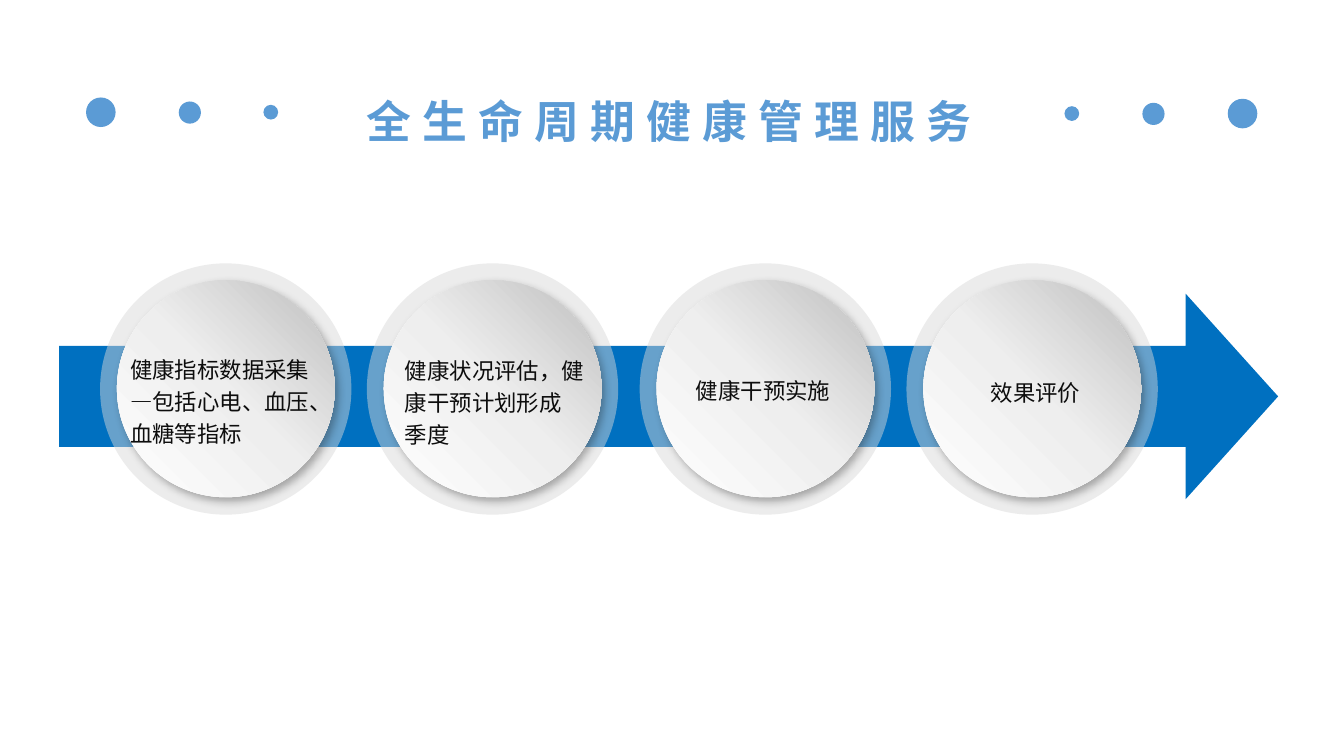
"""Builds a slide showing the four stages of whole-life health management."""
import pptx
import pptx.dml.color
import pptx.enum.shapes
import pptx.enum.text
import pptx.oxml.ns
import pptx.util
from lxml import etree

PX = 4572
FONT = "Noto Sans CJK SC"
COLORS = {
    "accent": "5B9BD5",
    "arrow": "0070C0",
    "ring": "D8D8D8",
    "text": "0D0D0D",
    "shadow": "000000",
    "disc light": "FFFFFF",
    "disc middle": "EEEEEE",
    "disc dark": "BFBFBF",
}
DISC_STOPS = [(0, "disc light"), (50, "disc middle"), (100, "disc dark")]
ALIGN = pptx.enum.text.PP_ALIGN
SHAPE = pptx.enum.shapes.MSO_SHAPE
qn = pptx.oxml.ns.qn


def add_figure(preset, left, top, width, height, color):
    figure = slide.shapes.add_shape(
        preset, left * PX, top * PX, width * PX, height * PX)
    figure.shadow.inherit = False
    figure.line.fill.background()
    figure.fill.solid()
    figure.fill.fore_color.rgb = pptx.dml.color.RGBColor.from_string(color)
    return figure


def write_text(box, text, size=12, color=COLORS["text"], bold=False,
               align=ALIGN.LEFT, line_spacing=1.2, tracking=0):
    frame = box.text_frame
    frame.word_wrap = True
    frame.auto_size = pptx.enum.text.MSO_AUTO_SIZE.NONE
    frame.vertical_anchor = pptx.enum.text.MSO_ANCHOR.TOP
    frame.text = text
    for paragraph in frame.paragraphs:
        paragraph.alignment = align
        paragraph.line_spacing = line_spacing
        paragraph.space_before = pptx.util.Pt(0)
        for run in paragraph.runs:
            run.font.size = pptx.util.Pt(size)
            run.font.bold = bold
            run.font.color.rgb = pptx.dml.color.RGBColor.from_string(color)
            run.font.name = FONT
            properties = run._r.get_or_add_rPr()
            properties.set("spc", str(tracking * 100))
            east_asian = etree.Element(qn("a:ea"), typeface=FONT)
            properties.find(qn("a:latin")).addnext(east_asian)


presentation = pptx.Presentation()
presentation.slide_width = 2000 * PX
presentation.slide_height = 1125 * PX
slide = presentation.slides.add_slide(presentation.slide_layouts[5])

title = slide.shapes.title
title.left, title.top, title.width, title.height = (
    492 * PX, 106 * PX, 1008 * PX, 124 * PX)
write_text(title, "全生命周期健康管理服务", size=24, color=COLORS["accent"],
           bold=True, align=ALIGN.CENTER, line_spacing=1.3, tracking=6)

for diameter, left_dot, right_dot in [(44, 128, 1827), (33, 266, 1700), (22, 392, 1584)]:
    for dot_left, center_y in [(left_dot, 167), (right_dot, 169)]:
        add_figure(SHAPE.OVAL, dot_left, center_y - diameter // 2,
                   diameter, diameter, COLORS["accent"])

process_arrow = add_figure(SHAPE.RIGHT_ARROW, 88, 437, 1814, 306, COLORS["arrow"])
process_arrow.adjustments[0] = 0.49
process_arrow.adjustments[1] = 0.45

stages = [
    (149, "健康指标数据采集—包括心电、血压、血糖等指标", (174, 512, 336, 180), ALIGN.LEFT),
    (546, "健康状况评估，健康干预计划形成\n季度", (583, 513, 312, 132), ALIGN.LEFT),
    (952, "健康干预实施", (1016, 544, 252, 68), ALIGN.LEFT),
    (1349, "效果评价", (1334, 546, 414, 74), ALIGN.CENTER),
]
for ring_left, label, label_area, align in stages:
    ring = add_figure(SHAPE.OVAL, ring_left, 392, 374, 374, COLORS["ring"])
    ring_color = ring._element.spPr.find(".//" + qn("a:srgbClr"))
    etree.SubElement(ring_color, qn("a:alpha"), val="48000")

    disc = add_figure(SHAPE.OVAL, ring_left + 25, 417, 324, 323, COLORS["ring"])
    disc.fill.gradient()
    disc.fill.gradient_angle = 45
    stop_list = disc._element.spPr.find(".//" + qn("a:gsLst"))
    stop_list[:] = []
    for position, tone in DISC_STOPS:
        stop = etree.SubElement(stop_list, qn("a:gs"), pos=str(position * 1000))
        etree.SubElement(stop, qn("a:srgbClr"), val=COLORS[tone])
    disc_shadow = etree.SubElement(
        disc._element.spPr.find(qn("a:effectLst")), qn("a:outerShdw"),
        blurRad=str(pptx.util.Pt(4.5)), dist=str(pptx.util.Pt(2.6)),
        dir=str(53 * 60000), algn="tl", rotWithShape="0")
    shadow_color = etree.SubElement(
        disc_shadow, qn("a:srgbClr"), val=COLORS["shadow"])
    etree.SubElement(shadow_color, qn("a:alpha"), val="30000")

    caption = slide.shapes.add_textbox(*[length * PX for length in label_area])
    write_text(caption, label, align=align)

presentation.save("out.pptx")
